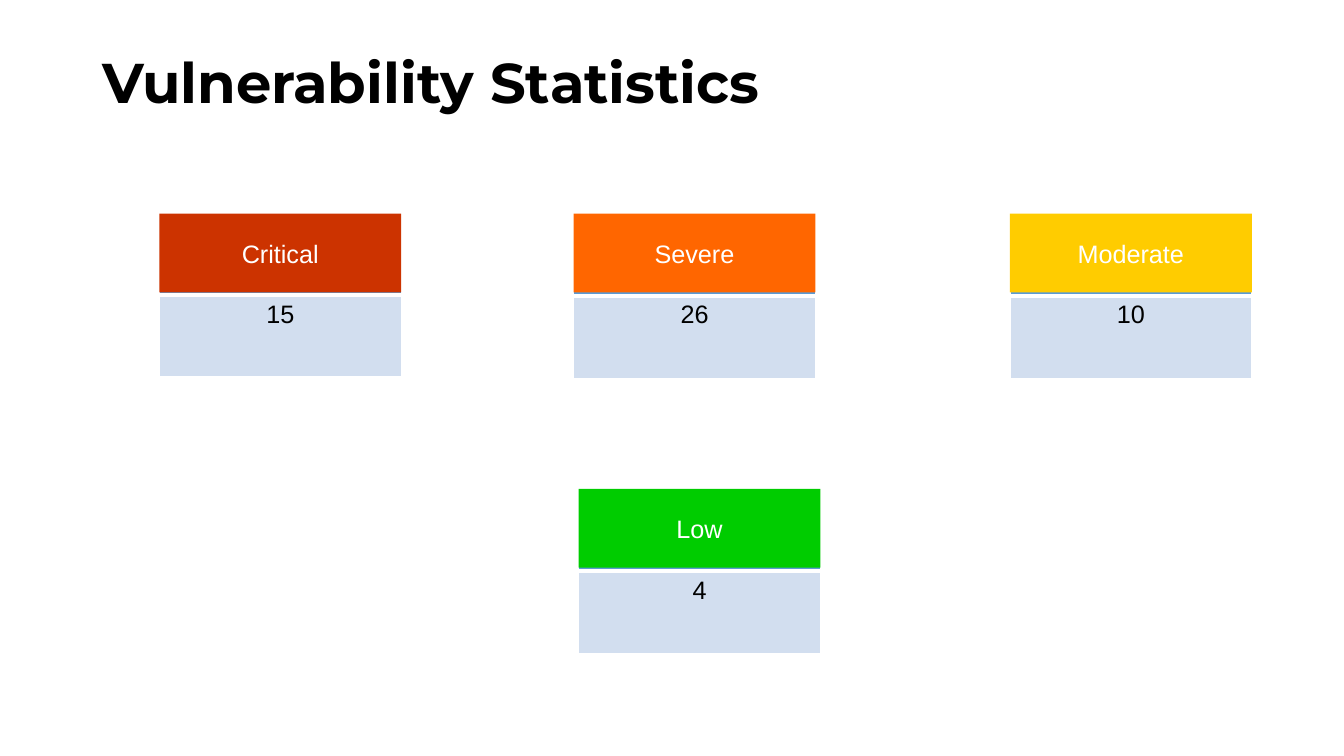
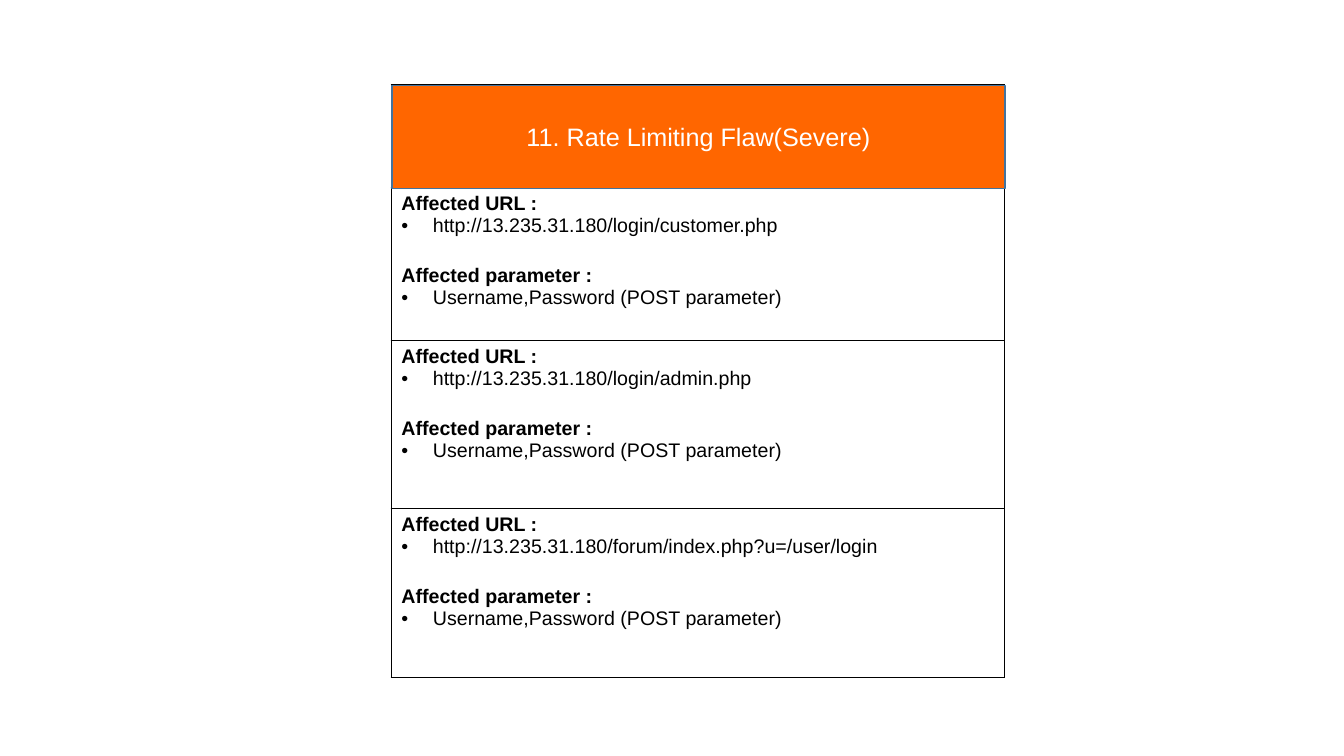
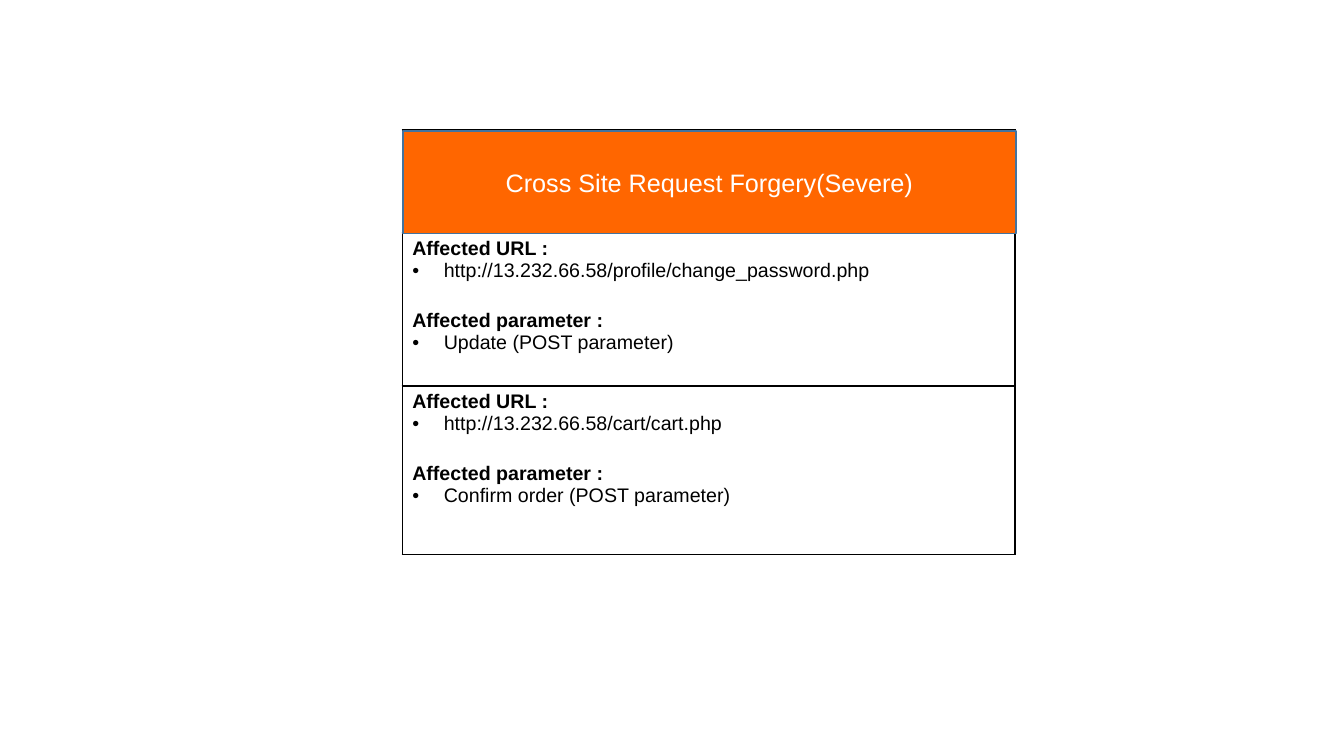
from dataclasses import dataclass

from lxml.etree import SubElement
from pptx import Presentation
from pptx.dml.color import RGBColor
from pptx.enum.shapes import MSO_SHAPE
from pptx.enum.text import MSO_ANCHOR, PP_ALIGN
from pptx.oxml import parse_xml
from pptx.oxml.ns import nsdecls, qn
from pptx.util import Pt


@dataclass(frozen=True)
class Theme:
    black: str = "000000"
    white: str = "FFFFFF"
    critical: str = "CC3300"
    severe: str = "FF6600"
    moderate: str = "FFCC00"
    low: str = "00CC00"
    table_head: str = "5B9BD5"
    table_body: str = "D2DEEF"
    outline: str = "43739E"
    title_font: str = "Montserrat"
    body_font: str = "Arial"
    title_size: int = 40
    label_size: int = 18
    detail_size: int = 14


THEME = Theme()
SLIDE_WIDTH, SLIDE_HEIGHT = 960, 540
STAT_WIDTH, STAT_LABEL_HEIGHT = 172.8, 56.2
PANEL_WIDTH, HEADING_HEIGHT = 437.8, 73.4
FIRST_FINDING_HEIGHT, FINDING_HEIGHT = 109.4, 120.2
BULLET_INDENT, GROUP_GAP = 22.5, 20
ROW_TOP, LOW_TOP = 152.6, 349.2

STATISTICS = [
    ("Critical", "15", THEME.critical, 113.8, ROW_TOP, 58.3),
    ("Severe", "26", THEME.severe, 409.7, ROW_TOP, 58.8),
    ("Moderate", "10", THEME.moderate, 721.4, ROW_TOP, 58.8),
    ("Low", "4", THEME.low, 413.3, LOW_TOP, 58.8),
]
CREDENTIALS = "Username,Password (POST parameter)"
FINDING_SLIDES = [
    ("11. Rate Limiting Flaw(Severe)", 279.5, 60.5, [
        ("http://13.235.31.180/login/customer.php", CREDENTIALS),
        ("http://13.235.31.180/login/admin.php", CREDENTIALS),
        ("http://13.235.31.180/forum/index.php?u=/user/login", CREDENTIALS),
    ]),
    ("Cross Site Request Forgery(Severe)", 287.3, 92.9, [
        ("http://13.232.66.58/profile/change_password.php",
         "Update (POST parameter)"),
        ("http://13.232.66.58/cart/cart.php", "Confirm order (POST parameter)"),
    ]),
]


def apply_format(target, values):
    for name, value in values.items():
        setattr(target, name, value)


def write(paragraph, text, size=THEME.label_size, color=THEME.black,
          font=THEME.body_font, bold=False, **layout):
    run = paragraph.add_run()
    run.text = text
    apply_format(run.font, {"name": font, "size": Pt(size), "bold": bold})
    run.font.color.rgb = RGBColor.from_string(color)
    apply_format(paragraph, layout)


def add_bullet(paragraph):
    properties = paragraph._p.get_or_add_pPr()
    properties.set("marL", str(Pt(BULLET_INDENT)))
    properties.set("indent", str(-Pt(BULLET_INDENT)))
    SubElement(properties, qn("a:buFont")).set("typeface", "Arial")
    SubElement(properties, qn("a:buChar")).set("char", "•")


def add_borders(cell, color, bottom_width=1):
    properties = cell._tc.get_or_add_tcPr()
    for side in ("L", "R", "T", "B"):
        width = Pt(bottom_width if side == "B" else 1)
        properties.append(parse_xml(
            f'<a:ln{side} {nsdecls("a")} w="{width}"><a:solidFill>'
            f'<a:srgbClr val="{color}"/></a:solidFill></a:ln{side}>'))


def add_column_table(slide, left, top, width, row_heights):
    frame = slide.shapes.add_table(len(row_heights), 1, Pt(left), Pt(top),
                                   Pt(width), Pt(sum(row_heights)))
    table = frame.table
    apply_format(table, {"first_row": False, "horz_banding": False})
    for row, height in zip(table.rows, row_heights):
        row.height = Pt(height)
    return [table.cell(index, 0) for index in range(len(row_heights))]


def fill_solid(target, color):
    target.fill.solid()
    target.fill.fore_color.rgb = RGBColor.from_string(color)


def add_label(slide, text, color, left, top, width, height, outline=None):
    shape = slide.shapes.add_shape(MSO_SHAPE.RECTANGLE, Pt(left), Pt(top),
                                   Pt(width), Pt(height))
    shape.shadow.inherit = False
    fill_solid(shape, color)
    if outline:
        fill_solid(shape.line, outline)
        shape.line.width = Pt(1)
    else:
        shape.line.fill.background()
    shape.text_frame.vertical_anchor = MSO_ANCHOR.MIDDLE
    write(shape.text_frame.paragraphs[0], text, color=THEME.white,
          alignment=PP_ALIGN.CENTER)


def add_title(slide, text):
    box = slide.shapes.add_textbox(Pt(66), Pt(29.5), Pt(828), Pt(63.4))
    apply_format(box.text_frame, {"word_wrap": True,
                                  "vertical_anchor": MSO_ANCHOR.MIDDLE})
    write(box.text_frame.paragraphs[0], text, THEME.title_size,
          font=THEME.title_font, bold=True, line_spacing=0.9)


def add_statistic(slide, name, count, color, left, top, row_height):
    head, body = add_column_table(slide, left, top, STAT_WIDTH, [row_height] * 2)
    add_borders(head, THEME.white, bottom_width=3)
    fill_solid(head, THEME.table_head)
    add_borders(body, THEME.white)
    fill_solid(body, THEME.table_body)
    write(body.text_frame.paragraphs[0], count, alignment=PP_ALIGN.CENTER)
    add_label(slide, name, color, left, top, STAT_WIDTH, STAT_LABEL_HEIGHT)


def add_panel_cell(slide, left, top, height):
    cell, = add_column_table(slide, left, top, PANEL_WIDTH, [height])
    add_borders(cell, THEME.black)
    cell.fill.background()
    return cell


def add_finding(slide, left, top, height, address, parameter):
    frame = add_panel_cell(slide, left, top, height).text_frame
    groups = [("Affected URL :", address), ("Affected parameter :", parameter)]
    for index, (caption, detail) in enumerate(groups):
        paragraph = frame.add_paragraph() if index else frame.paragraphs[0]
        write(paragraph, caption, THEME.detail_size, bold=True,
              space_before=Pt(GROUP_GAP * index))
        paragraph = frame.add_paragraph()
        add_bullet(paragraph)
        write(paragraph, detail, THEME.detail_size)


def add_findings(slide, heading, left, top, findings):
    add_panel_cell(slide, left, top, HEADING_HEIGHT)
    finding_top = top + HEADING_HEIGHT
    for index, (address, parameter) in enumerate(findings):
        height = FINDING_HEIGHT if index else FIRST_FINDING_HEIGHT
        add_finding(slide, left, finding_top, height, address, parameter)
        finding_top += height
    add_label(slide, heading, THEME.severe, left + 0.5, top + 0.6, PANEL_WIDTH,
              HEADING_HEIGHT, outline=THEME.outline)


def main():
    presentation = Presentation()
    apply_format(presentation, {"slide_width": Pt(SLIDE_WIDTH),
                                "slide_height": Pt(SLIDE_HEIGHT)})
    blank = presentation.slide_layouts[6]
    slide = presentation.slides.add_slide(blank)
    add_title(slide, "Vulnerability Statistics")
    for statistic in STATISTICS:
        add_statistic(slide, *statistic)
    for content in FINDING_SLIDES:
        add_findings(presentation.slides.add_slide(blank), *content)
    presentation.save("out.pptx")


if __name__ == "__main__":
    main()
